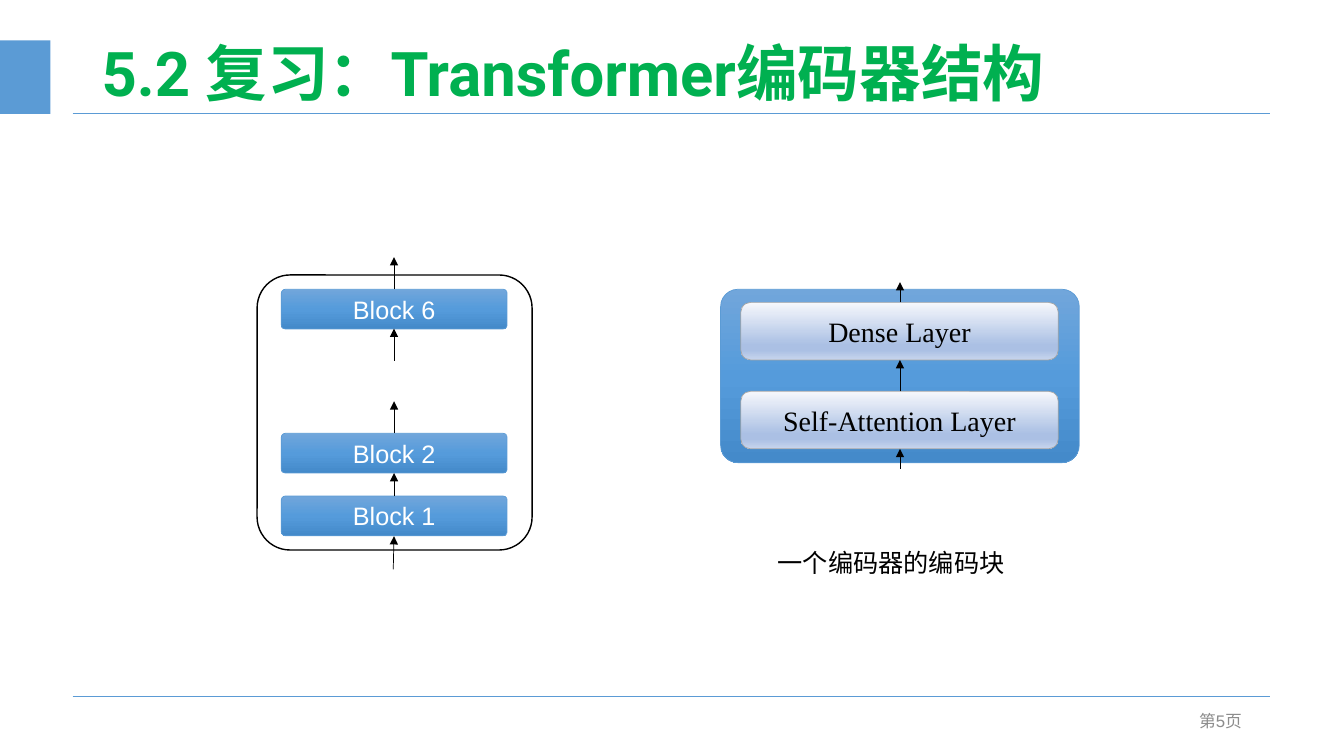
from dataclasses import dataclass
from lxml import etree
from pptx import Presentation
from pptx import util as u
from pptx.dml.color import RGBColor
from pptx.enum import shapes, text
from pptx.oxml.ns import qn

HUES = {
    "blue": "5B9BD5", "green": "00B050", "gray": "8C8C8C", "edge": "A5A5A5",
    "black": "000000", "white": "FFFFFF",
}
FADES = {
    "block": [(0, "71A6DB"), (50, "559BDB"), (100, "448ACA")],
    "layer": [(0, "F6F8FC"), (74, "ABC0E4"), (83, "ABC0E4"), (100, "C7D5ED")],
}
KIND = shapes.MSO_SHAPE
SIDE = text.PP_ALIGN


@dataclass
class Area:
    x: float
    y: float
    w: float
    h: float

    def box(self) -> list:
        return [u.Cm(v) for v in (self.x, self.y, self.w, self.h)]


@dataclass
class Panel:
    area: Area
    fill: str
    edge: str = ""
    round: float = 0
    width: float = 0.5
    label: str = ""
    font: str = "Arial"
    size: int = 18
    ink: str = "white"


@dataclass
class Line:
    x1: float
    y1: float
    x2: float
    y2: float
    hue: str = "black"
    head: bool = True


def paint(name: str) -> RGBColor:
    return RGBColor.from_string(HUES[name])


def write(shape, words: str, *, font: str = "Arial", size: int = 18,
          hue: str = "black", bold: bool = False, side=SIDE.LEFT,
          anchor=text.MSO_ANCHOR.MIDDLE, wrap: bool = True, space: float = 1) -> None:
    frame = shape.text_frame
    frame.word_wrap = wrap
    frame.vertical_anchor = anchor
    if not wrap:
        frame.auto_size = text.MSO_AUTO_SIZE.SHAPE_TO_FIT_TEXT
    para = frame.paragraphs[0]
    para.alignment = side
    para.line_spacing = space
    run = para.add_run()
    run.text = words
    run.font.name = font
    run.font.size = u.Pt(size)
    run.font.bold = bold
    run.font.color.rgb = paint(hue)


def shade(shape, stops: list) -> None:
    shape.fill.gradient()
    shape.fill.gradient_angle = 270
    root = next(shape.element.spPr.iter(qn("a:gsLst")))
    for old in list(root):
        root.remove(old)
    for spot, hue in stops:
        stop = etree.SubElement(root, qn("a:gs"), pos=str(spot * 1000))
        etree.SubElement(stop, qn("a:srgbClr"), val=hue)


def draw_panel(slide, item: Panel) -> None:
    kind = KIND.ROUNDED_RECTANGLE if item.round else KIND.RECTANGLE
    shape = slide.shapes.add_shape(kind, *item.area.box())
    shape.shadow.inherit = False
    if item.round:
        shape.adjustments[0] = item.round
    if item.fill in FADES:
        shade(shape, FADES[item.fill])
    else:
        shape.fill.solid()
        shape.fill.fore_color.rgb = paint(item.fill)
    if item.edge:
        shape.line.color.rgb = paint(item.edge)
        shape.line.width = u.Pt(item.width)
    else:
        shape.line.fill.background()
    if item.label:
        write(shape, item.label, font=item.font, size=item.size,
              hue=item.ink, side=SIDE.CENTER)


def draw_line(slide, item: Line) -> None:
    ends = [u.Cm(v) for v in (item.x1, item.y1, item.x2, item.y2)]
    link = slide.shapes.add_connector(shapes.MSO_CONNECTOR.STRAIGHT, *ends)
    link.line.color.rgb = paint(item.hue)
    link.line.width = u.Pt(0.5)
    if item.head:
        etree.SubElement(link.line._get_or_add_ln(), qn("a:tailEnd"), type="triangle")
    etree.SubElement(link.element.spPr, qn("a:effectLst"))


def add_text(slide, area: Area, words: str, **style) -> None:
    write(slide.shapes.add_textbox(*area.box()), words, **style)


def draw_frame(slide) -> None:
    for y in (17.55, 2.85):
        draw_line(slide, Line(1.83, y, 32, y, "blue", False))
    draw_panel(slide, Panel(Area(0, 1.02, 1.27, 1.85), "blue"))
    add_text(slide, Area(2.31, 0.84, 29.21, 2.16), "5.2 复习：Transformer编码器结构",
             font="Roboto", size=44, hue="green", bold=True, space=0.9)
    add_text(slide, Area(23.93, 17.65, 7.62, 1.02), "第5页",
             size=12, hue="gray", side=SIDE.RIGHT)


def draw_layers(slide) -> None:
    draw_panel(slide, Panel(Area(18.16, 7.29, 9.04, 4.37), "block", "blue", 0.1))
    for y, name in ((9.86, "Self-Attention Layer"), (7.62, "Dense Layer")):
        draw_panel(slide, Panel(Area(18.67, y, 8, 1.45), "layer", "edge", 0.17,
                                label=name, font="Times New Roman", size=20, ink="black"))
    for low, high in ((7.62, 7.11), (11.81, 11.31), (9.86, 9.07)):
        draw_line(slide, Line(22.68, low, 22.68, high))
    add_text(slide, Area(19.35, 13.67, 6.27, 1.02), "一个编码器的编码块",
             wrap=False, anchor=text.MSO_ANCHOR.TOP)


def draw_stack(slide) -> None:
    draw_panel(slide, Panel(Area(6.48, 6.93, 6.93, 6.93), "white", "black", 0.12, 1))
    for y, rank in ((12.5, 1), (10.92, 2), (7.29, 6)):
        draw_panel(slide, Panel(Area(7.09, y, 5.69, 1), "block", "blue", 0.1,
                                label=f"Block {rank}"))
    draw_line(slide, Line(9.91, 14.35, 9.93, 13.51))
    for low, high in ((12.5, 11.92), (9.09, 8.28), (7.29, 6.48), (10.92, 10.11)):
        draw_line(slide, Line(9.93, low, 9.93, high))


def main() -> None:
    deck = Presentation()
    deck.slide_width, deck.slide_height = u.Cm(33.87), u.Cm(19.05)
    slide = deck.slides.add_slide(deck.slide_layouts[6])
    draw_frame(slide)
    draw_layers(slide)
    draw_stack(slide)
    deck.save("out.pptx")


if __name__ == "__main__":
    main()
